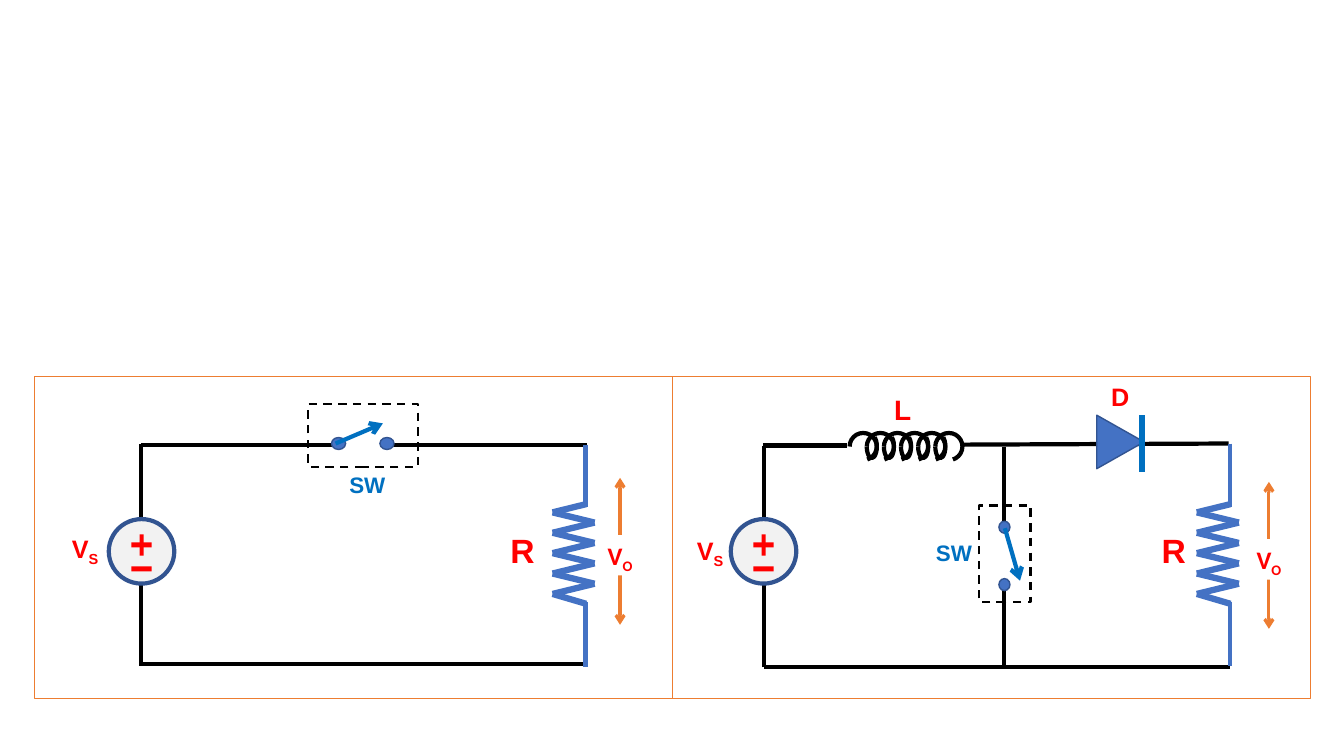
from dataclasses import dataclass
from itertools import pairwise
from typing import Any

from lxml.etree import SubElement
from pptx import Presentation
from pptx.dml.color import RGBColor
from pptx.enum.dml import MSO_LINE
from pptx.enum.shapes import MSO_CONNECTOR, MSO_SHAPE
from pptx.enum.text import PP_ALIGN
from pptx.oxml.ns import qn
from pptx.util import Pt

BLACK, WHITE, RED = "000000", "FFFFFF", "FF0000"
BLUE, NAVY, SKY = "4472C4", "325491", "0070C0"
ORANGE, GREY = "ED7D31", "F2F2F2"


def paint(fill, color):
    if color:
        fill.solid()
        fill.fore_color.rgb = RGBColor.from_string(color)
    else:
        fill.background()


@dataclass
class Pen:
    shapes: Any
    left: float
    top: float

    def line(self, start, end, color=BLACK, width=3, heads=()):
        (x1, y1), (x2, y2) = start, end
        wire = self.shapes.add_connector(
            MSO_CONNECTOR.STRAIGHT,
            Pt(self.left + x1), Pt(self.top + y1),
            Pt(self.left + x2), Pt(self.top + y2))
        paint(wire.line.fill, color)
        wire.line.width = Pt(width)
        for head in heads:
            SubElement(wire.line._get_or_add_ln(), qn(f"a:{head}"), type="arrow")
        SubElement(wire._element.spPr, qn("a:effectLst"))

    def shape(self, kind, x, y, w, h, fill=None, edge=None, width=1):
        item = self.shapes.add_shape(
            kind, Pt(self.left + x), Pt(self.top + y), Pt(w), Pt(h))
        item.shadow.inherit = False
        paint(item.fill, fill)
        paint(item.line.fill, edge)
        if edge:
            item.line.width = Pt(width)
        return item

    def label(self, mid, y, w, text, size, color=RED, sub="",
              font="Arial", fill=None):
        box = self.shapes.add_textbox(
            Pt(self.left + mid - w / 2), Pt(self.top + y), Pt(w), Pt(size * 1.6))
        paint(box.fill, fill)
        frame = box.text_frame
        frame.word_wrap = True
        para = frame.paragraphs[0]
        para.text = text
        para.alignment = PP_ALIGN.CENTER
        if sub:
            low = para.add_run()
            low.text = sub
            low.font._element.set("baseline", "-25000")
        for run in para.runs:
            run.font.name = font
            run.font.size = Pt(size)
            run.font.bold = True
            paint(run.font.fill, color)


def source(pen, x, y):
    pen.shape(MSO_SHAPE.OVAL, x, y, 46.8, 46.1, GREY, NAVY, 3)
    for dx, dy, w, h in ((22, 10.9, 2.9, 15.1), (16.2, 16.6, 14.4, 3.6),
                         (16.2, 33.8, 14.4, 3.6)):
        pen.shape(MSO_SHAPE.RECTANGLE, x + dx, y + dy, w, h, RED)


def resist(pen, x, top, end):
    zig = [(x + (6.5 if i % 2 else -23.5), 97.4 + 7.28 * i) for i in range(9)]
    for a, b in pairwise([(x + 0.5, 91.5), *zig, (x + 0.5, 162.7)]):
        pen.line(a, b, BLUE, 4.5)
    pen.line((x, top), (x, 93.2), BLUE)
    pen.line((x, 161.3), (x, end), BLUE)


def output(pen, x, y, w):
    pen.line((x, y + 105), (x, y), ORANGE, 2.25, ("headEnd", "tailEnd"))
    pen.label(x, y + 41, w, "V", 18, sub="O", font="Calibri", fill=WHITE)


def coil(pen, x, y):
    step, turns = 12.24, 5
    loops = [(x + step * i, y, 19.4, 19.4, False) for i in range(turns + 1)]
    loops += [(x + step * (i + 1), y + 1.4, 7.2, 16.6, True) for i in range(turns)]
    for *area, low in loops:
        arc = pen.shape(MSO_SHAPE.ARC, *area, edge=BLACK, width=3)
        arc.adjustments[0] = 64.44
        arc.adjustments[1] = 0
        form = arc._element.spPr.xfrm
        form.set("flipH", "1")
        if low:
            form.set("flipV", "1")


def diode(pen, x, y):
    body = pen.shape(MSO_SHAPE.ISOSCELES_TRIANGLE, x, y, 38.2, 33.8, BLUE, NAVY)
    body.rotation = 90
    pen.line((x + 34.5, y - 2.1), (x + 34.5, y + 38.2), SKY, 4.5)


def switch(pen, frame, dots, size, start, end):
    edge = pen.shape(MSO_SHAPE.RECTANGLE, *frame, edge=BLACK, width=1.5)
    edge.line.dash_style = MSO_LINE.DASH
    for x, y in dots:
        pen.shape(MSO_SHAPE.OVAL, x, y, *size, BLUE, NAVY)
    pen.line(start, end, SKY, 3, ("tailEnd",))


def series(pen):
    for a, b in (((76.3, 49), (217.4, 49)), ((248.4, 49), (394.6, 49)),
                 ((74.9, 205.9), (394.6, 205.9)), ((76.3, 205.9), (76.3, 48.2))):
        pen.line(a, b)
    switch(pen, (195.8, 20.2, 78.5, 44.6), ((212.4, 43.9), (247, 43.9)),
           (10.1, 8.6), (215.3, 48.2), (249.1, 33.8))
    pen.label(36.4, 108.7, 67, "V", 18, sub="S")
    pen.label(348.8, 106.6, 67, "R", 24)
    pen.label(238, 64.1, 67, "SW", 16, SKY)
    output(pen, 418.5, 72.7, 41.8)
    resist(pen, 393.8, 49, 208.1)
    source(pen, 53.3, 102.2)


def boost(pen):
    for a, b in (((64.8, 49.7), (124.6, 49.7)), ((208.1, 49), (397.4, 48.2)),
                 ((65.5, 208.1), (398.2, 208.1)), ((65.5, 208.1), (65.5, 49.7)),
                 ((236.9, 208.1), (236.9, 146.9)), ((236.9, 111.6), (236.9, 50.4))):
        pen.line(a, b)
    resist(pen, 398.2, 48.2, 207.4)
    switch(pen, (219.2, 92.5, 36.7, 69.1), ((233.3, 144.7), (233.3, 103.7)),
           (7.9, 8.6), (237.6, 108.7), (248.4, 146.2))
    source(pen, 41.8, 102.2)
    pen.label(27, 110.2, 54, "V", 18, sub="S")
    pen.label(358.2, 106.6, 54, "R", 24)
    output(pen, 426.2, 75.6, 33.1)
    pen.label(201.2, 113, 54, "SW", 16, SKY)
    coil(pen, 126.7, 40.7)
    diode(pen, 301, 30.2)
    pen.label(164.5, 7.9, 54, "L", 20)
    pen.label(320, 0, 54, "D", 18)


deck = Presentation()
deck.slide_width, deck.slide_height = Pt(960), Pt(540)
slide = deck.slides.add_slide(deck.slide_layouts[6])
wide, high, top = 455.8, 230.4, 268.6
for left, draw in ((480.2, boost), (24.4, series)):
    draw(Pen(slide.shapes.add_group_shape().shapes, left, top))
    Pen(slide.shapes, left, top).shape(
        MSO_SHAPE.RECTANGLE, 0, 0, wide, high, edge=ORANGE, width=0.75)
deck.save("out.pptx")
